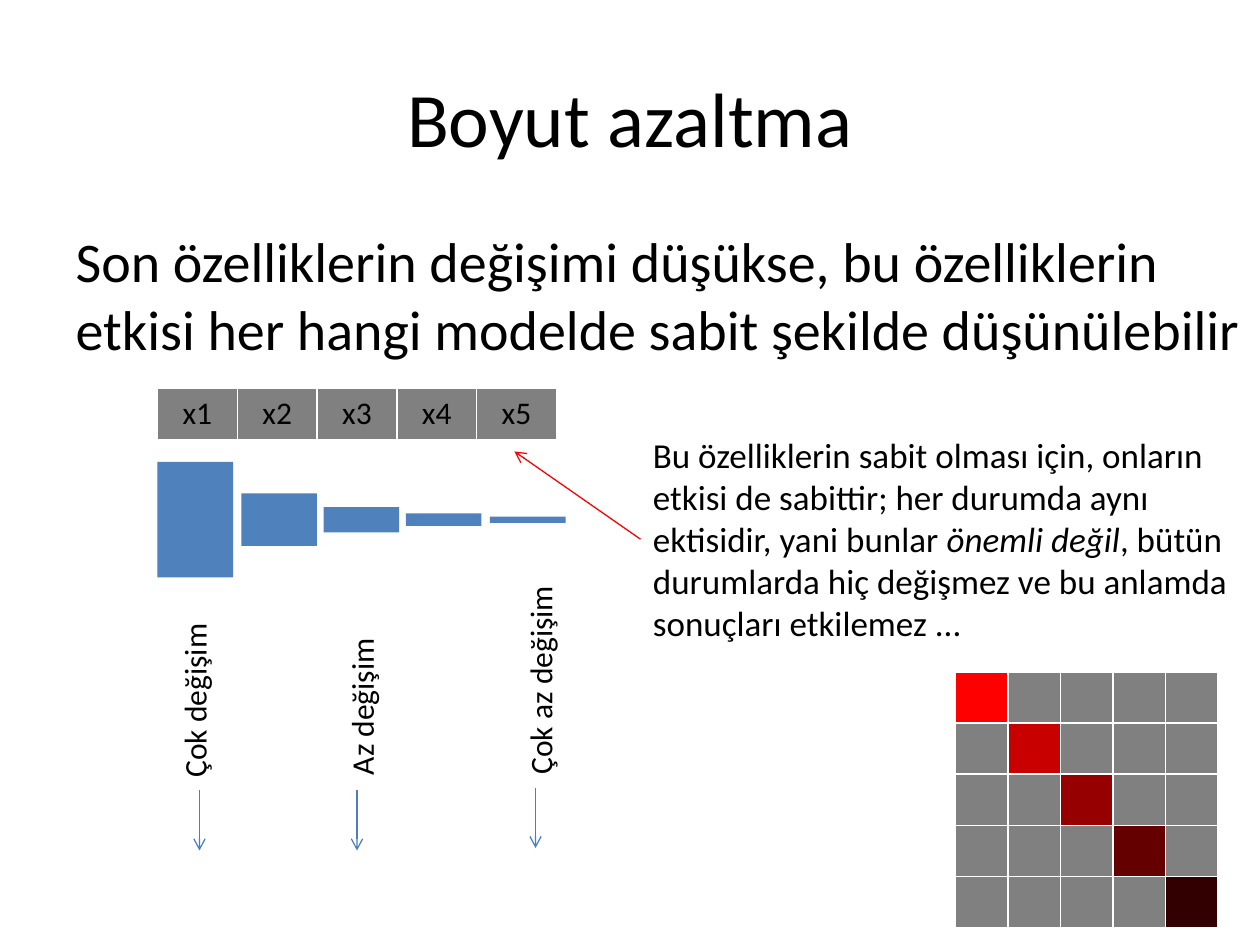
from lxml import etree
from pptx import Presentation
from pptx.dml.color import RGBColor
from pptx.enum.shapes import MSO_CONNECTOR, MSO_SHAPE
from pptx.enum.text import MSO_ANCHOR, MSO_AUTO_SIZE, PP_ALIGN
from pptx.oxml.ns import qn
from pptx.util import Pt

STRAIGHT = MSO_CONNECTOR.STRAIGHT
RECTANGLE = MSO_SHAPE.RECTANGLE
CENTER, LEFT = PP_ALIGN.CENTER, PP_ALIGN.LEFT
MIDDLE, TOP = MSO_ANCHOR.MIDDLE, MSO_ANCHOR.TOP
GROW = MSO_AUTO_SIZE.SHAPE_TO_FIT_TEXT
LEFT_SIDE = 1

COLORS = {
    "text": "000000",
    "border": "FFFFFF",
    "cell": "808080",
    "bar": "4F81BD",
    "arrow": "4B7EBC",
    "highlight": "FF0000",
}
# Diagonal of the covariance matrix, fading from red to near black
DIAGONAL = ["FF0000", "C80000", "960000", "640000", "320000"]


def rgb(hex_color):
    return RGBColor.from_string(hex_color)


class SlideBuilder:
    font = "Calibri"

    def __init__(self, slide):
        self.slide = slide
        self.shapes = slide.shapes

    def style(self, para, size, align=LEFT):
        para.alignment = align
        para.font.name = self.font
        para.font.size = Pt(size)
        para.font.color.rgb = rgb(COLORS["text"])

    def placeholder(self, index, text, frame, size, align, anchor):
        box = self.slide.placeholders[index]
        box.left, box.top, box.width, box.height = map(Pt, frame)
        box.text_frame.text = text
        box.text_frame.vertical_anchor = anchor
        para = box.text_frame.paragraphs[0]
        properties = para._p.get_or_add_pPr()
        properties.set("marL", "0")
        properties.set("indent", "0")
        etree.SubElement(properties, qn("a:buNone"))
        para.space_before = Pt(0)
        self.style(para, size, align)

    def text_box(self, spans, frame, size, wrap=True, rotation=0):
        """Each span is a (text, italic) pair."""
        box = self.shapes.add_textbox(*map(Pt, frame))
        box.rotation = rotation
        box.text_frame.word_wrap = wrap
        box.text_frame.auto_size = GROW
        para = box.text_frame.paragraphs[0]
        self.style(para, size)
        for text, italic in spans:
            span = para.add_run()
            span.text = text
            if italic:
                span.font.italic = True
        return box

    def table(self, left, top, column_width, row_height, fills, texts=()):
        rows, columns = len(fills), len(fills[0])
        table = self.shapes.add_table(
            rows, columns, Pt(left), Pt(top),
            Pt(column_width * columns), Pt(row_height * rows)).table
        table.first_row = table.horz_banding = False
        for column in table.columns:
            column.width = Pt(column_width)
        for row in table.rows:
            row.height = Pt(row_height)
        for r, row_fills in enumerate(fills):
            for c, fill in enumerate(row_fills):
                cell = table.cell(r, c)
                cell.fill.solid()
                cell.fill.fore_color.rgb = rgb(fill)
                self.cell_borders(cell)
                if texts:
                    cell.text = texts[r][c]
                self.style(cell.text_frame.paragraphs[0], 18, CENTER)

    def cell_borders(self, cell):
        properties = cell._tc.get_or_add_tcPr()
        for position, side in enumerate(("lnL", "lnR", "lnT", "lnB")):
            line = etree.Element(qn(f"a:{side}"), w=str(Pt(1)))
            solid = etree.SubElement(line, qn("a:solidFill"))
            etree.SubElement(solid, qn("a:srgbClr"), val=COLORS["border"])
            properties.insert(position, line)

    def bar(self, left, top, width, height):
        bar = self.shapes.add_shape(RECTANGLE, *map(Pt, (left, top, width, height)))
        bar.shadow.inherit = False
        bar.fill.solid()
        bar.fill.fore_color.rgb = rgb(COLORS["bar"])
        bar.line.fill.background()

    def arrow(self, start, end, color):
        arrow = self.shapes.add_connector(STRAIGHT, *map(Pt, (*start, *end)))
        arrow.line.color.rgb = rgb(color)
        arrow.line.width = Pt(0.75)
        etree.SubElement(arrow.line._get_or_add_ln(), qn("a:tailEnd"), type="arrow")
        etree.SubElement(arrow._element.spPr, qn("a:effectLst"))
        return arrow


def main():
    deck = Presentation()
    deck.slide_width, deck.slide_height = Pt(720), Pt(540)
    page = SlideBuilder(deck.slides.add_slide(deck.slide_layouts[1]))

    # Title and statement
    page.placeholder(0, "Boyut azaltma", (36, 21.6, 648, 90), 44, CENTER, MIDDLE)
    page.placeholder(
        1, "Son özelliklerin değişimi düşükse, bu özelliklerin etkisi "
        "her hangi modelde sabit şekilde düşünülebilir",
        (36, 126, 684, 356.4), 32, LEFT, TOP)

    # Covariance matrix with a coloured diagonal
    size = len(DIAGONAL)
    matrix = [[DIAGONAL[r] if r == c else COLORS["cell"] for c in range(size)]
              for r in range(size)]
    page.table(546, 384, 30, 29.2, matrix)

    # Feature row
    features = [f"x{number}" for number in range(1, size + 1)]
    page.table(90, 222, 45.6, 29.2, [[COLORS["cell"]] * size], [features])

    # Bars showing how much each feature varies, on one centre line
    bar_lefts = [90, 138, 185, 232, 280]
    bar_heights = [66, 30, 14.4, 7.2, 3.6]
    for left, height in zip(bar_lefts, bar_heights):
        page.bar(left, 297 - height / 2, 43.2, height)

    # Upright labels (centre x, bottom, length) with arrows below
    label_height, arrow_length = 28.8, 34.6
    labels = [
        ("Çok değişim", 110.9, 451.4, 103.7, 114),
        ("Az değişim", 206.6, 450, 93.6, 204),
        ("Çok az değişim", 308.5, 449.6, 123.1, 306),
    ]
    for text, center, bottom, length, arrow_x in labels:
        top = bottom - length / 2 - label_height / 2
        page.text_box([(text, False)],
                      (center - length / 2, top, length, label_height),
                      18, wrap=False, rotation=270)
        arrow_top = 450 if arrow_x == 306 else 451.4
        page.arrow((arrow_x, arrow_top), (arrow_x, arrow_top + arrow_length),
                   COLORS["arrow"])

    # Explanation pointing at the last feature
    note = page.text_box([
        ("Bu özelliklerin sabit olması için, onların etkisi de sabittir; "
         "her durumda aynı ektisidir, yani bunlar ", False),
        ("önemli değil", True),
        (", bütün durumlarda hiç değişmez ve bu anlamda "
         "sonuçları etkilemez ...", False),
    ], (366, 244, 345.6, 128.2), 20)
    pointer = page.arrow((366, 308), (294, 258), COLORS["highlight"])
    pointer.begin_connect(note, LEFT_SIDE)

    deck.save("out.pptx")


if __name__ == "__main__":
    main()
